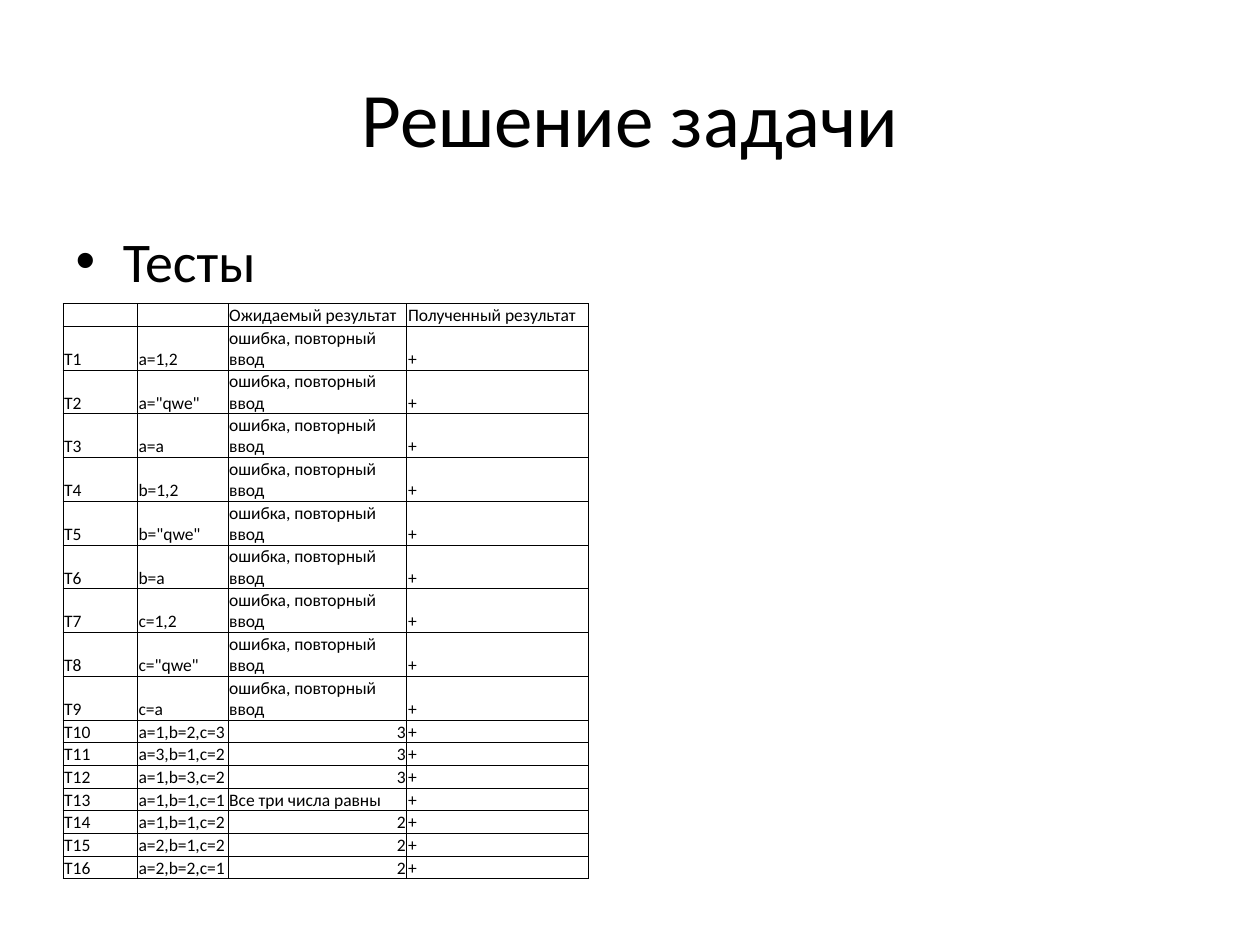
from lxml.etree import SubElement
from pptx import Presentation
from pptx.dml.color import RGBColor
from pptx.enum.text import MSO_ANCHOR, PP_ALIGN
from pptx.oxml import parse_xml
from pptx.oxml.ns import nsdecls, qn
from pptx.util import Inches, Pt

BLACK = RGBColor(0x00, 0x00, 0x00)
FONT = "Calibri"
COLUMN_WIDTHS = (0.59, 0.72, 1.42, 1.44)
ROW_HEIGHT, TALL_ROW_HEIGHT = 0.18, 0.33
INPUT_ERROR = "ошибка, повторный ввод"

HEADINGS = ("", "", "Ожидаемый результат", "Полученный результат")
INVALID_INPUTS = [f"{name}={value}" for name in "abc" for value in ("1,2", '"qwe"', "a")]
VALID_CASES = [
    ("a=1,b=2,c=3", "3"),
    ("a=3,b=1,c=2", "3"),
    ("a=1,b=3,c=2", "3"),
    ("a=1,b=1,c=1", "Все три числа равны"),
    ("a=1,b=1,c=2", "2"),
    ("a=2,b=1,c=2", "2"),
    ("a=2,b=2,c=1", "2"),
]


def format_runs(paragraph, size):
    """Give every run of a paragraph the slide's font."""
    for run in paragraph.runs:
        run.font.name = FONT
        run.font.size = Pt(size)
        run.font.color.rgb = BLACK


def fill_placeholder(placeholder, box, text, size, anchor):
    """Place a placeholder in its box and write one paragraph."""
    placeholder.left, placeholder.top, placeholder.width, placeholder.height = map(Inches, box)
    placeholder.text_frame.text = text
    placeholder.text_frame.vertical_anchor = anchor
    format_runs(placeholder.text_frame.paragraphs[0], size)


def add_borders(cell):
    """Draw thin black lines on all four sides of a cell."""
    properties = cell._tc.get_or_add_tcPr()
    for position, side in enumerate(("lnL", "lnR", "lnT", "lnB")):
        properties.insert(position, parse_xml(
            f'<a:{side} {nsdecls("a")} w="{Pt(0.5)}"><a:solidFill>'
            f'<a:srgbClr val="{BLACK}"/></a:solidFill></a:{side}>'))


def fill_cell(cell, text):
    """Write a small bottom-aligned text; numbers go to the right."""
    cell.fill.background()
    cell.vertical_anchor = MSO_ANCHOR.BOTTOM
    cell.margin_left = cell.margin_right = cell.margin_top = Inches(0.01)
    cell.margin_bottom = 0
    paragraph = cell.text_frame.paragraphs[0]
    if text:
        paragraph.text = text
        paragraph.alignment = PP_ALIGN.RIGHT if text.isdigit() else PP_ALIGN.LEFT
        format_runs(paragraph, 10)
    else:
        SubElement(paragraph._p, qn("a:endParaRPr")).set("sz", "1000")
    add_borders(cell)


def add_test_table(slide, left, top):
    """Add the table of tests with its corner at left, top."""
    cases = [(values, INPUT_ERROR) for values in INVALID_INPUTS] + VALID_CASES
    rows = [HEADINGS] + [(f"T{number}", values, expected, "+")
                         for number, (values, expected) in enumerate(cases, 1)]
    heights = [TALL_ROW_HEIGHT if row[2] == INPUT_ERROR else ROW_HEIGHT for row in rows]
    tests = slide.shapes.add_table(
        len(rows), len(COLUMN_WIDTHS), Inches(left), Inches(top),
        Inches(sum(COLUMN_WIDTHS)), Inches(sum(heights))).table
    tests.first_row = tests.horz_banding = False
    for column, width in zip(tests.columns, COLUMN_WIDTHS):
        column.width = Inches(width)
    for table_row, height, texts in zip(tests.rows, heights, rows):
        table_row.height = Inches(height)
        for cell, text in zip(table_row.cells, texts):
            fill_cell(cell, text)


def build_solution_slide(presentation):
    """Add the slide with title, list and test table."""
    slide = presentation.slides.add_slide(presentation.slide_layouts[1])
    title, topics = slide.placeholders
    fill_placeholder(title, (0.5, 0.3, 9, 1.25), "Решение задачи", 44, MSO_ANCHOR.MIDDLE)
    title.text_frame.paragraphs[0].alignment = PP_ALIGN.CENTER
    fill_placeholder(topics, (0.5, 1.75, 9, 0.69), "Тесты", 32, MSO_ANCHOR.TOP)
    add_test_table(slide, 0.5, 2.41)


presentation = Presentation()
presentation.slide_width = Inches(10)
presentation.slide_height = Inches(7.5)
build_solution_slide(presentation)
presentation.save("out.pptx")
